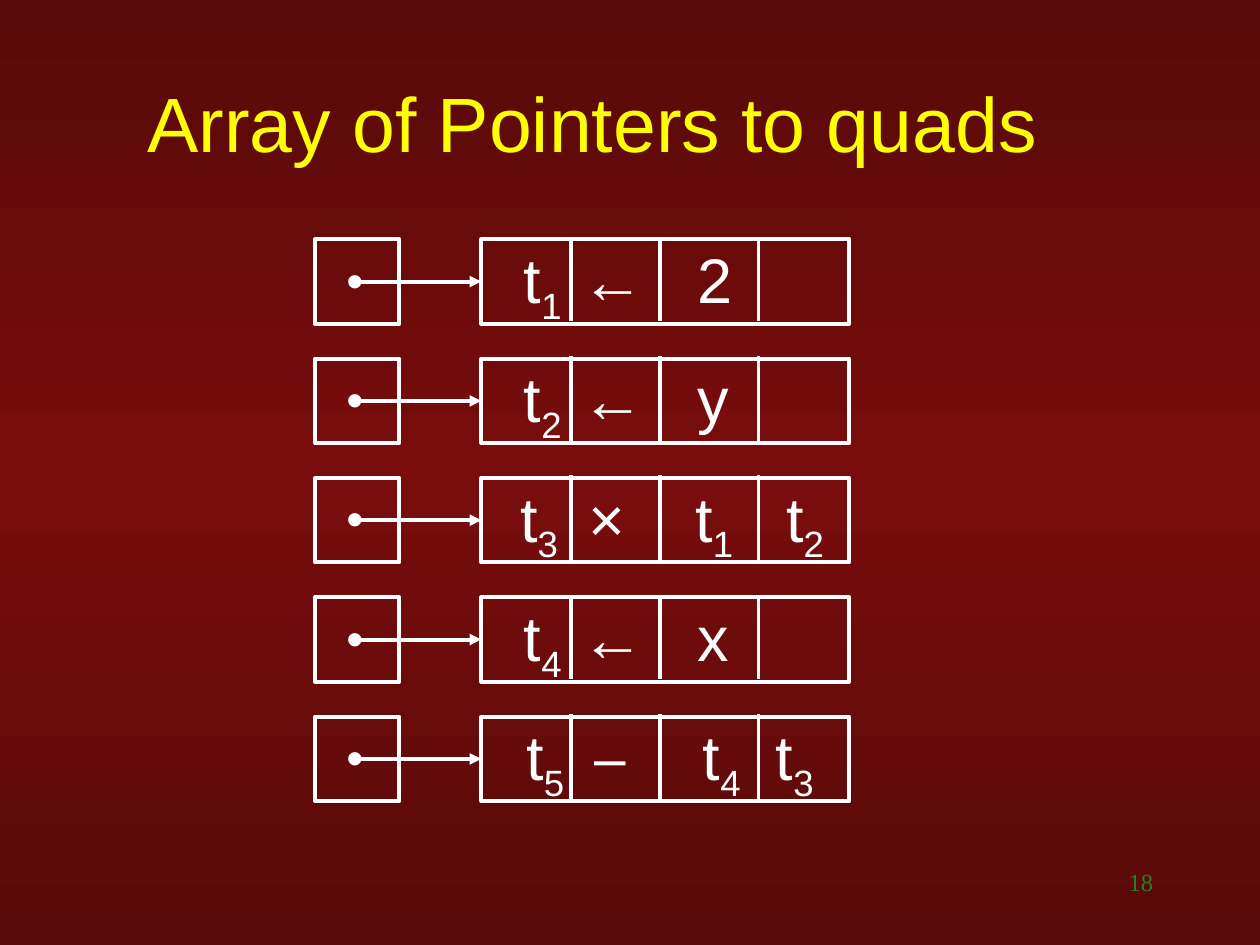
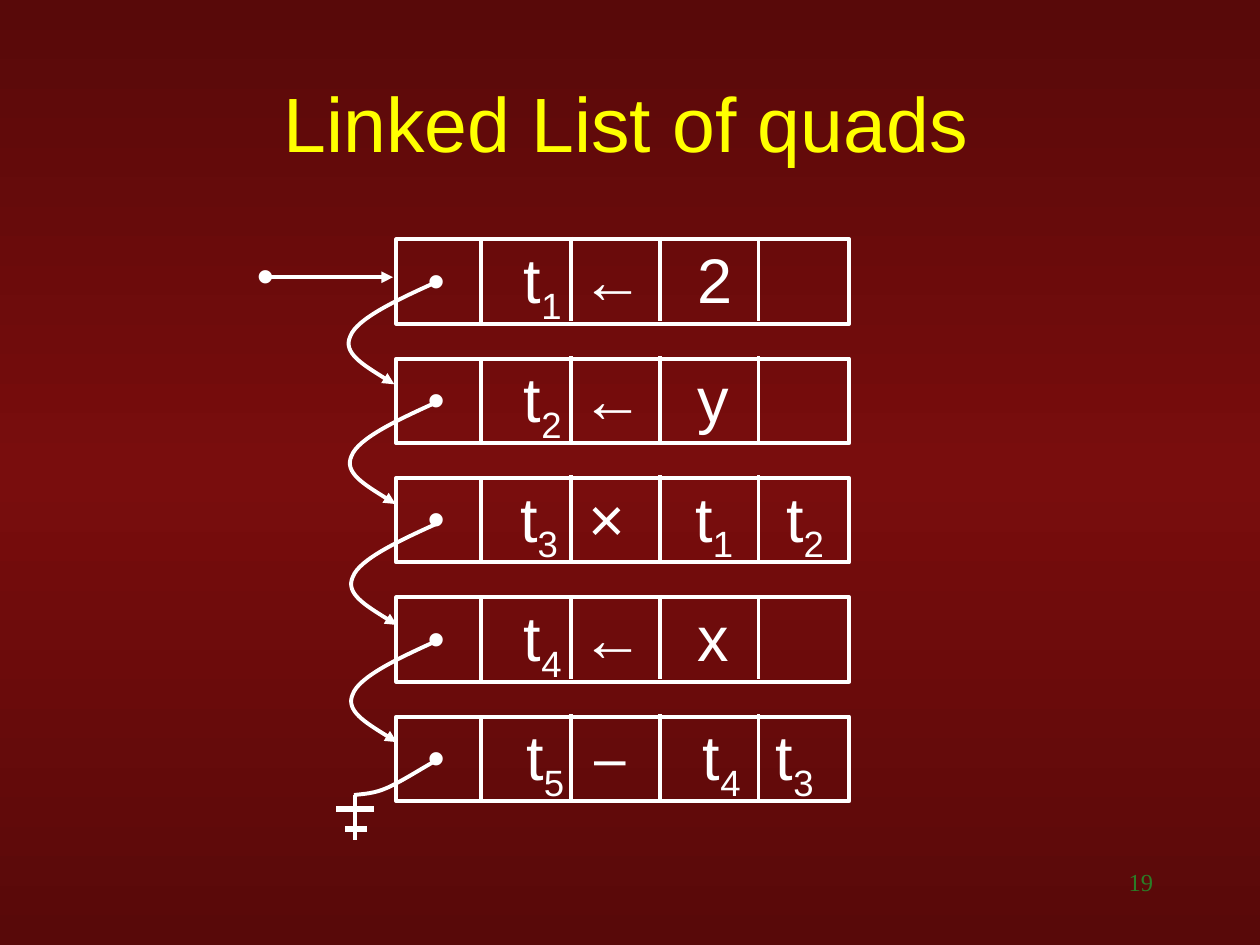
from copy import deepcopy
from dataclasses import dataclass

from lxml import etree
from pptx import Presentation, util as u
from pptx.dml.color import RGBColor
from pptx.enum import shapes, text
from pptx.oxml.ns import qn

# Shared look
WHITE = RGBColor(0xFF, 0xFF, 0xFF)
YELLOW = RGBColor(0xFF, 0xFF, 0x00)
GREEN = RGBColor(0x2B, 0x7D, 0x27)
DARK = RGBColor(0x58, 0x09, 0x09)
RED = RGBColor(0x79, 0x0D, 0x0D)
SANS, SERIF, DASH = "Arial", "Times New Roman", "TeX Gyre Adventor"
THIN, THICK = 2.25, 3

# The slide is a grid of 100 columns by 75 rows
WIDE, HIGH = u.Inches(10), u.Inches(7.5)
COLS, ROWS = 100, 75

# Quad rows, in grid units
TOP, PITCH, BOX = 19, 9.47, 6.7
LEFT, SPAN = 38.2, 29.2
CUTS = (45.3, 52.4, 60.2)
ARRAY, LINK = 25, 31.45  # left edges of the pointer boxes


@dataclass(frozen=True)
class Quad:
    left: float
    width: float
    tabs: tuple[float, ...]
    runs: tuple[str, ...]  # a leading "_" marks a subscript


@dataclass(frozen=True)
class Line:
    start: tuple[float, float]
    end: tuple[float, float]
    width: float = THIN
    arrow: bool = False


QUADS = (
    Quad(40.6, 24.1, (4.6, 13.8), ("t", "_1", "\t←\t2")),
    Quad(40.6, 21, (4.6, 13.8), ("t", "_2", "\t←\ty")),
    Quad(40.3, 29.9, (5.4, 13.9, 21.1), ("t", "_3", "\t×\tt", "_1", "\tt", "_2")),
    Quad(40.6, 21, (4.6, 13.8), ("t", "_4", "\t←\tx")),
    Quad(40.8, 27.6, (5.4, 14, 19.8),
         ("t", "_5", "\t", "–", "\tt", "_4", "\tt", "_3")),
)

# Links: Bezier points measured from where each curve starts
BEND = ((-3.1, 1.4), (-6.3, 2.9), (-6.8, 4.3),
        (-7.4, 5.6), (-5.4, 6.8), (-3.3, 8.1))
STARTS = ((34.6, 22.4), (34.7, 31.9), (34.8, 41.5), (34.8, 50.8))
HOOK = ((-1.4, 0.8), (-2.8, 1.7), (-3.9, 2.2),
        (-5, 2.7), (-5.8, 2.7), (-6.6, 2.8))
HEAD = Line((21.5, 22), (31.2, 22), arrow=True)
GROUND = (
    Line((29.7, 64.2), (26.7, 64.2), THICK),
    Line((29.1, 65.8), (27.4, 65.8), THICK),
    Line((28.2, 63.1), (28.2, 66.7)),
)


def col(n: float) -> int:
    return round(WIDE * n / COLS)


def row(n: float) -> int:
    return round(HIGH * n / ROWS)


def stroke(line, width: float = THIN, arrow: bool = False) -> None:
    line.color.rgb = WHITE
    line.width = u.Pt(width)
    if arrow:
        tip = etree.SubElement(line._get_or_add_ln(), qn("a:tailEnd"))
        tip.set("type", "triangle")


def label(slide, x: float, y: float, w: float, h: float):
    """Add a wrapping text box; return its frame and first paragraph."""
    frame = slide.shapes.add_textbox(col(x), row(y), col(w), row(h)).text_frame
    frame.word_wrap = True
    return frame, frame.paragraphs[0]


def add_run(para, words: str, size: float, color=WHITE, face: str = SANS):
    run = para.add_run()
    run.text = words
    run.font.size = u.Pt(size)
    run.font.name = face
    run.font.color.rgb = color
    return run


def draw_box(slide, x: float, y: float, w: float):
    box = slide.shapes.add_shape(
        shapes.MSO_SHAPE.RECTANGLE, col(x), row(y), col(w), row(BOX))
    box.shadow.inherit = False
    box.fill.background()
    stroke(box.line)
    return box


def draw_line(slide, spec_: Line):
    (x1, y1), (x2, y2) = spec_.start, spec_.end
    line = slide.shapes.add_connector(
        shapes.MSO_CONNECTOR.STRAIGHT, col(x1), row(y1), col(x2), row(y2))
    stroke(line.line, spec_.width, spec_.arrow)
    etree.SubElement(line._element.spPr, qn("a:effectLst"))
    return line


def draw_curve(slide, start: tuple[float, float], bend, arrow: bool) -> None:
    x, y = start
    pen = slide.shapes.build_freeform(col(x), row(y))
    pen.add_line_segments(
        [(col(x + dx), row(y + dy)) for dx, dy in bend], close=False)
    curve = pen.convert_to_shape()
    # Join each three points into one Bezier segment
    route = curve._element.find(".//" + qn("a:path"))
    for i, step in enumerate(route.findall(qn("a:lnTo"))):
        if i % 3 == 0:
            cubic = etree.SubElement(route, qn("a:cubicBezTo"))
        cubic.append(step[0])
        route.remove(step)
    curve.shadow.inherit = False
    curve.fill.background()
    stroke(curve.line, arrow=arrow)


def draw_dot(slide, x: float, y: float) -> None:
    add_run(label(slide, x, y, 3.8, 5.7)[1], "•", 28)


def draw_quad(slide, quad: Quad, y: float):
    box = draw_box(slide, LEFT, y, SPAN)
    para = label(slide, quad.left, y - 0.4, quad.width, 7.9)[1]
    stops = etree.SubElement(para._p.get_or_add_pPr(), qn("a:tabLst"))
    for stop in quad.tabs:
        etree.SubElement(stops, qn("a:tab"), pos=str(col(stop)), algn="l")
    for part in quad.runs:
        face = DASH if part == "–" else SANS
        run = add_run(para, part.lstrip("_"), 36, face=face)
        if part.startswith("_"):
            run._r.get_or_add_rPr().set("baseline", "-25000")
    for cut in CUTS:
        draw_line(slide, Line((cut, y - 0.2), (cut, y + BOX - 0.2)))
    return box


def draw_rows(slide, left: float, arrows: bool) -> None:
    """Draw the pointer boxes and the quads beside them."""
    for i, quad in enumerate(QUADS):
        y = TOP + i * PITCH
        draw_box(slide, left, y, BOX)
        box = draw_quad(slide, quad, y)
        draw_dot(slide, left + 1.5, y + 0.3)
        if arrows:
            mid = y + BOX / 2
            line = draw_line(slide, Line((28.5, mid), (LEFT, mid), arrow=True))
            line.end_connect(box, 1)


def paint(master) -> None:
    """Give every slide the same red gradient."""
    fill = master.background.fill
    fill.gradient()
    fill.gradient_angle = 270
    stops = master._element.find(".//" + qn("p:bg")).find(".//" + qn("a:gsLst"))
    stops.append(deepcopy(stops[0]))
    for stop, place, tone in zip(
            fill.gradient_stops, (0, 0.5, 1), (DARK, RED, DARK)):
        stop.position = place
        stop.color.rgb = tone


def new_slide(deck, title: str, x: float, w: float, page: int):
    slide = deck.slides.add_slide(deck.slide_layouts[6])
    para = label(slide, 71.7, 68.3, 20.8, 5)[1]
    para.alignment = text.PP_ALIGN.RIGHT
    add_run(para, str(page), 14, GREEN, SERIF)
    frame, para = label(slide, x, 6.6, w, 7.2)
    frame.vertical_anchor = text.MSO_ANCHOR.MIDDLE
    frame.margin_top = row(1)
    para.line_spacing = 0.75
    add_run(para, title, 44, YELLOW)
    return slide


def main() -> None:
    deck = Presentation()
    deck.slide_width, deck.slide_height = WIDE, HIGH
    paint(deck.slide_master)

    # Array of pointers
    slide = new_slide(deck, "Array of Pointers to quads", 10.7, 83.4, 18)
    draw_rows(slide, ARRAY, arrows=True)

    # Linked list
    slide = new_slide(deck, "Linked List of quads", 21.5, 67.5, 19)
    draw_rows(slide, LINK, arrows=False)
    draw_line(slide, HEAD)
    draw_dot(slide, 19.4, 18.9)
    for start in STARTS:
        draw_curve(slide, start, BEND, arrow=True)
    for line in GROUND:
        draw_line(slide, line)
    draw_curve(slide, (34.7, 60.3), HOOK, arrow=False)

    deck.save("out.pptx")


if __name__ == "__main__":
    main()
